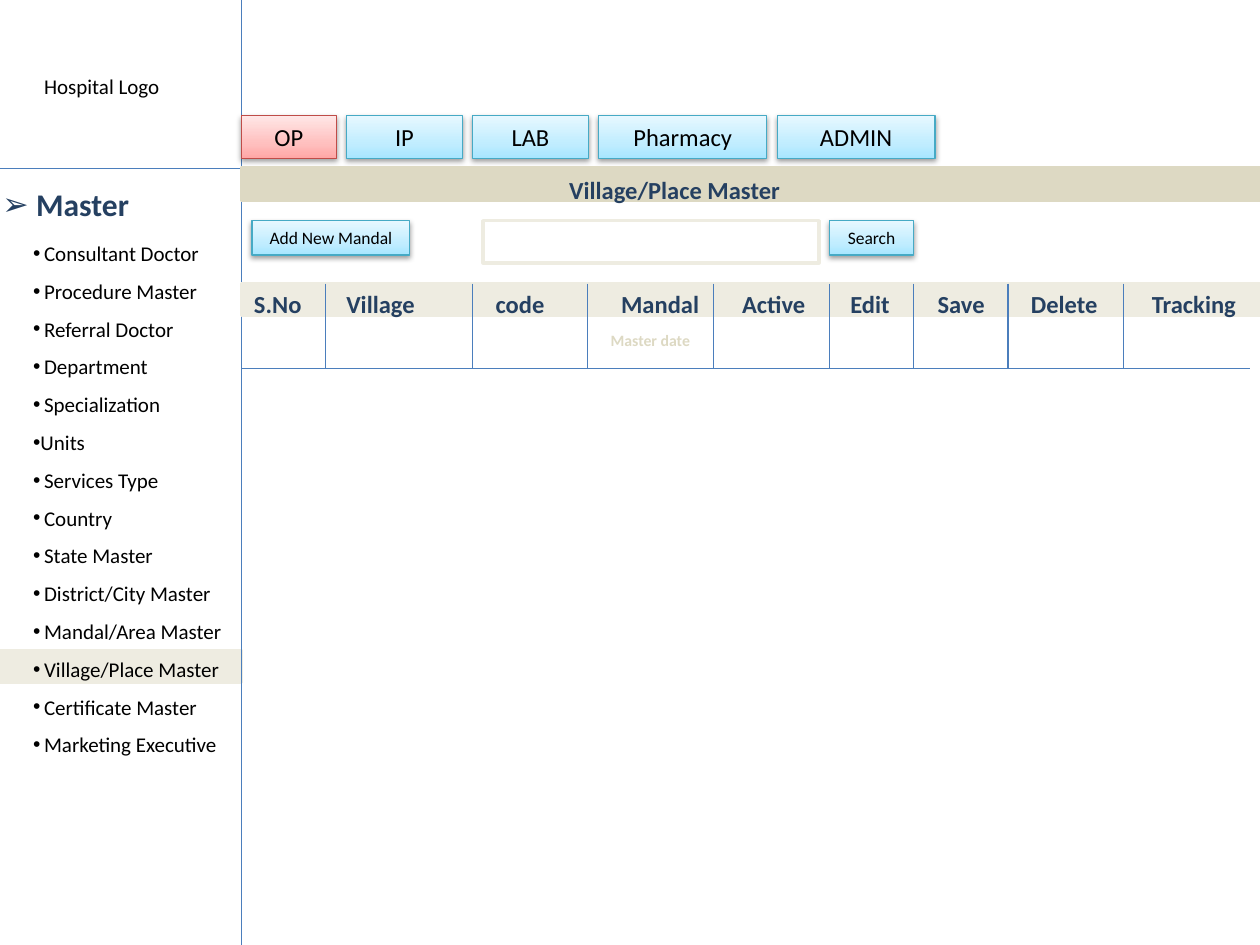
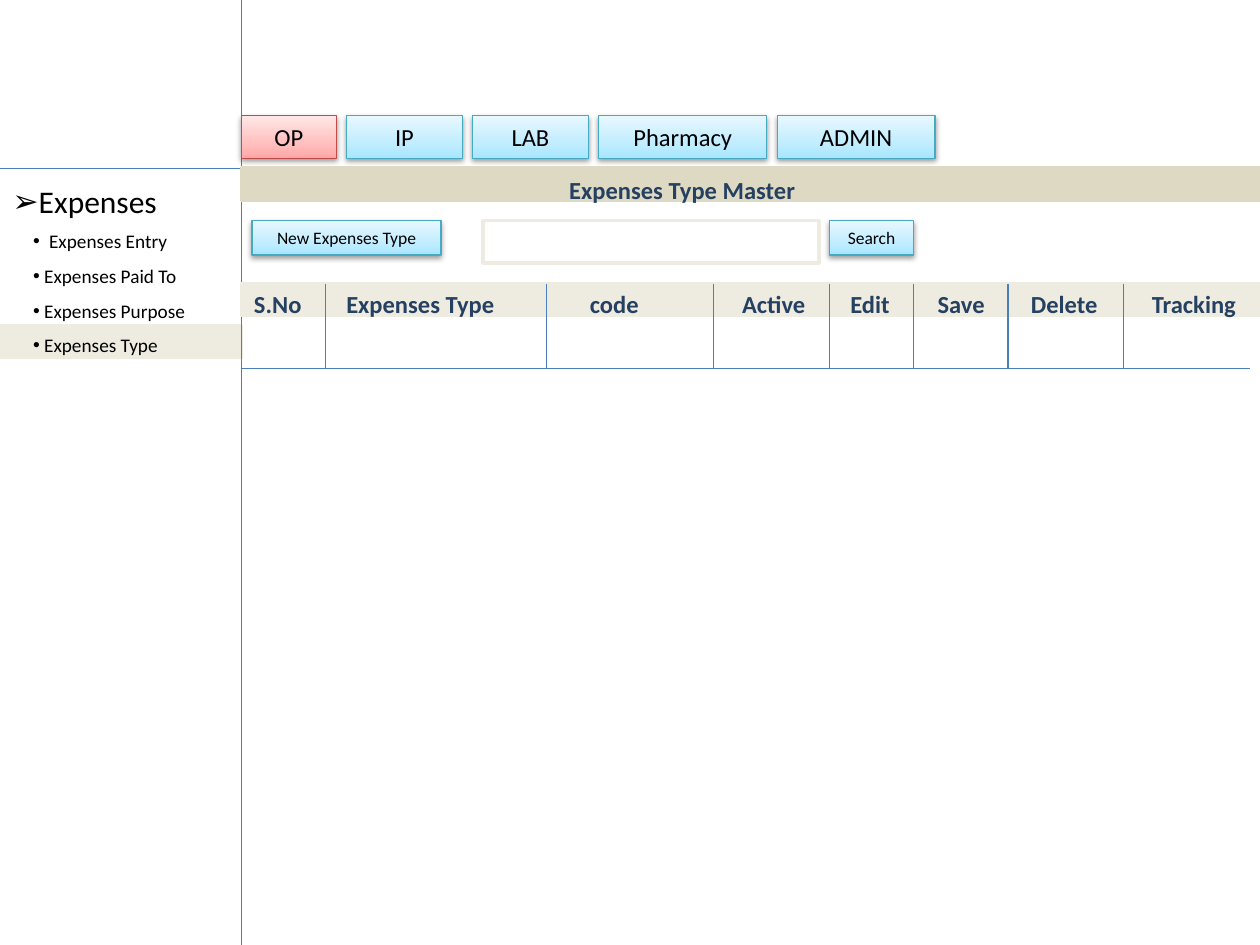
from lxml.etree import SubElement
from pptx import Presentation
from pptx.dml.color import RGBColor
from pptx.enum.shapes import MSO_CONNECTOR, MSO_SHAPE
from pptx.enum.text import MSO_ANCHOR, MSO_AUTO_SIZE, PP_ALIGN
from pptx.oxml.ns import qn
from pptx.util import Cm, Pt

# Shared look
FONT = "Calibri"
BLACK, NAVY, WHITE = "000000", "254061", "FFFFFF"
RULE_BLUE, TAN, PALE_TAN = "4B7EBC", "DDD9C3", "EEECE1"
RED_BUTTON = ("FFA6A5", "FFC0BF", "FFE7E7"), "BF4C48"
BLUE_BUTTON = ("A7E6FF", "C1EDFF", "E7F8FF"), "46AAC5"
NO_TABLE_STYLE = "{2D5ABB26-0587-4C30-8999-92F81FD0307C}"

# Shared page grid, in cm
PAGE_W, PAGE_H = 25.4, 19.05
SIDEBAR_W, HEADER_H, BAND_H = 4.87, 3.39, 0.64
TAB_TOP, TAB_H, TAB_GAP = 2.33, 0.86, 0.21
TOOLBAR_TOP, TABLE_TOP = 4.45, 5.72

TABS = [("OP", 1.91), ("IP", 2.33), ("LAB", 2.33), ("Pharmacy", 3.39), ("ADMIN", 3.18)]
# Columns: heading, width, text indent
SERIAL = ("S.No", 1.69, 0.25)
ACTIONS = [("Active", 2.33, 0.57), ("Edit", 1.7, 0.42), ("Save", 1.9, 0.48),
           ("Delete", 2.33, 0.46), ("Tracking", 2.54, 0.57)]
# Distance from bullet to text, where it differs from the usual one
ITEM_HANG = 0.22
SPECIAL_HANGS = {"Units": 0.14, "Expenses Entry": 0.32}


def rgb(hex_code):
    return RGBColor.from_string(hex_code)


def style(paragraph, size, color=BLACK, bold=False):
    font = paragraph.font
    font.name, font.size, font.bold = FONT, Pt(size), bold
    font.color.rgb = rgb(color)


def add_bullet(paragraph, symbol, hang):
    props = paragraph._p.get_or_add_pPr()
    props.set("marL", str(Cm(hang)))
    props.set("indent", str(-Cm(hang)))
    SubElement(props, qn("a:buFont"), typeface="Arial")
    SubElement(props, qn("a:buChar"), char=symbol)


def add_label(slide, left, top, width, height):
    label = slide.shapes.add_textbox(Cm(left), Cm(top), Cm(width), Cm(height))
    label.text_frame.word_wrap = False
    return label.text_frame


def add_box(slide, left, top, width, height, fill, line):
    box = slide.shapes.add_shape(MSO_SHAPE.RECTANGLE, Cm(left), Cm(top), Cm(width), Cm(height))
    box.shadow.inherit = False
    box.fill.solid()
    box.fill.fore_color.rgb = rgb(fill)
    box.line.color.rgb = rgb(line)
    box.line.width = Pt(2)


def add_rule(slide, x1, y1, x2, y2):
    rule = slide.shapes.add_connector(MSO_CONNECTOR.STRAIGHT, Cm(x1), Cm(y1), Cm(x2), Cm(y2))
    rule.line.color.rgb = rgb(RULE_BLUE)
    rule.line.width = Pt(0.75)
    SubElement(rule._element.spPr, qn("a:effectLst"))


def add_color(parent, hex_code):
    return SubElement(parent, qn("a:srgbClr"), val=hex_code)


def add_button(slide, text, left, top, width, height, size, scheme=BLUE_BUTTON):
    button = slide.shapes.add_shape(MSO_SHAPE.RECTANGLE, Cm(left), Cm(top), Cm(width), Cm(height))
    shades, edge = scheme
    # Gradient rising from the bottom edge
    gradient = SubElement(button._element.spPr, qn("a:gradFill"), rotWithShape="1")
    stops = SubElement(gradient, qn("a:gsLst"))
    for position, shade in zip((0, 35000, 100000), shades):
        add_color(SubElement(stops, qn("a:gs"), pos=str(position)), shade)
    SubElement(gradient, qn("a:lin"), ang="16200000", scaled="1")
    button.line.color.rgb = rgb(edge)
    button.line.width = Pt(0.75)
    # Soft shadow below
    button.shadow.inherit = False
    effects = button._element.spPr.find(qn("a:effectLst"))
    shadow = SubElement(effects, qn("a:outerShdw"), blurRad=str(Pt(3.1)), dist=str(Pt(1.6)),
                        dir="5400000", rotWithShape="0")
    SubElement(add_color(shadow, BLACK), qn("a:alpha"), val="38000")
    caption = button.text_frame.paragraphs[0]
    caption.text = text
    caption.alignment = PP_ALIGN.CENTER
    style(caption, size)


def build_sidebar(slide, menu):
    heading = add_label(slide, 0, menu["heading_top"], 3.5, 1.02)
    heading.margin_left = Cm(menu["heading_inset"])
    title = heading.paragraphs[0]
    title.text = menu["heading"]
    add_bullet(title, "➢", menu["heading_hang"])
    style(title, 18, menu["heading_color"], menu["heading_bold"])

    size, items = menu["size"], menu["items"]
    entries = add_label(slide, 0.42, menu["top"], 4.4, len(items) * size * 0.064 + 0.25)
    for index, item in enumerate(items):
        entry = entries.add_paragraph() if index else entries.paragraphs[0]
        entry.text = item
        entry.line_spacing = 1.5
        add_bullet(entry, "•", SPECIAL_HANGS.get(item, ITEM_HANG))
        style(entry, size)


def build_tabs(slide, left, top):
    for name, width in TABS:
        scheme = RED_BUTTON if name == "OP" else BLUE_BUTTON
        add_button(slide, name, left, top, width, TAB_H, 14, scheme)
        left += width + TAB_GAP


def build_title(slide, text, left, top):
    add_box(slide, left, top, PAGE_W - left, BAND_H, TAN, TAN)
    title = slide.shapes.title
    title.left, title.top, title.width, title.height = Cm(left + 6.35), Cm(top), Cm(5.2), Cm(0.86)
    frame = title.text_frame
    frame.text = text
    frame.word_wrap = False
    frame.auto_size = MSO_AUTO_SIZE.NONE
    frame.vertical_anchor = MSO_ANCHOR.MIDDLE
    frame.paragraphs[0].alignment = PP_ALIGN.LEFT
    style(frame.paragraphs[0], 14, NAVY, True)
    # Bring the title in front of its band
    title.element.getparent().append(title.element)


def build_toolbar(slide, left, top, add_text, add_width):
    add_button(slide, add_text, left + 0.21, top, add_width, 0.69, 10)
    add_box(slide, left + 4.87, top, 6.77, 0.85, WHITE, PALE_TAN)
    add_button(slide, "Search", left + 11.85, top, 1.7, 0.69, 10)


def add_border(cell, side, index):
    border = cell._tc.get_or_add_tcPr().makeelement(qn(f"a:{side}"), {"w": str(Pt(0.75))})
    add_color(SubElement(border, qn("a:solidFill")), RULE_BLUE)
    cell._tc.tcPr.insert(index, border)


def build_table(slide, columns, left, top, notes):
    add_box(slide, left, top, PAGE_W - left, BAND_H, PALE_TAN, PALE_TAN)
    width = sum(column[1] for column in columns)
    table = slide.shapes.add_table(2, len(columns), Cm(left), Cm(top), Cm(width), Cm(1.7)).table
    table.first_row = table.horz_banding = False
    table._tbl.tblPr.find(qn("a:tableStyleId")).text = NO_TABLE_STYLE
    for index, (heading, column_width, indent) in enumerate(columns):
        table.columns[index].width = Cm(column_width)
        head, body = table.cell(0, index), table.cell(1, index)
        head.text, body.text = heading, notes.get(heading, "")
        style(head.text_frame.paragraphs[0], 14, NAVY, True)
        style(body.text_frame.paragraphs[0], 9, TAN, True)
        head.vertical_anchor = MSO_ANCHOR.MIDDLE
        head.margin_left, body.margin_left = Cm(indent), Cm(0.46)
        for cell in (head, body):
            cell.margin_right = cell.margin_top = cell.margin_bottom = 0
            cell.fill.background()
            has_divider = index < len(columns) - 1
            if has_divider:
                add_border(cell, "lnR", 0)
        body.margin_top = Cm(0.12)
        add_border(body, "lnB", int(has_divider))


def build_page(prs, page):
    slide = prs.slides.add_slide(prs.slide_layouts[5])
    # Frame: highlighted menu row and the two dividing rules
    add_box(slide, 0, page["menu"]["highlight_top"], SIDEBAR_W, BAND_H, PALE_TAN, PALE_TAN)
    add_rule(slide, 0, HEADER_H, PAGE_W, HEADER_H)
    add_rule(slide, SIDEBAR_W, 0, SIDEBAR_W, PAGE_H)
    if "logo" in page:
        logo = add_label(slide, 0.64, 1.35, 2.87, 0.77).paragraphs[0]
        logo.text = page["logo"]
        style(logo, 12)
    build_sidebar(slide, page["menu"])
    build_tabs(slide, SIDEBAR_W, TAB_TOP)
    build_title(slide, page["title"], SIDEBAR_W, HEADER_H)
    build_toolbar(slide, SIDEBAR_W, TOOLBAR_TOP, *page["add_button"])
    columns = [SERIAL, *page["columns"], *ACTIONS]
    build_table(slide, columns, SIDEBAR_W, TABLE_TOP, page.get("notes", {}))


VILLAGE_PAGE = {
    "title": "Village/Place Master",
    "logo": "Hospital Logo",
    "add_button": ("Add New Mandal", 3.18),
    "columns": [("Village", 2.97, 0.42), ("code", 2.32, 0.46), ("Mandal", 2.54, 0.67)],
    "notes": {"Mandal": "Master date"},
    "menu": {
        "heading": "Master", "heading_top": 3.61, "heading_inset": 0.05, "heading_hang": 0.68,
        "heading_color": NAVY, "heading_bold": True,
        "top": 4.47, "size": 12, "highlight_top": 13.12,
        "items": ["Consultant Doctor", "Procedure Master", "Referral Doctor", "Department",
                  "Specialization", "Units", "Services Type", "Country", "State Master",
                  "District/City Master", "Mandal/Area Master", "Village/Place Master",
                  "Certificate Master", "Marketing Executive"],
    },
}

EXPENSES_PAGE = {
    "title": "Expenses Type Master",
    "add_button": ("New Expenses Type", 3.81),
    "columns": [("Expenses Type", 4.45, 0.42), ("code", 3.38, 0.88)],
    "menu": {
        "heading": "Expenses", "heading_top": 3.55, "heading_inset": 0.25, "heading_hang": 0.53,
        "heading_color": BLACK, "heading_bold": False,
        "top": 4.27, "size": 11, "highlight_top": 6.56,
        "items": ["Expenses Entry", "Expenses Paid To", "Expenses Purpose", "Expenses Type"],
    },
}


def main():
    prs = Presentation()
    prs.slide_width, prs.slide_height = Cm(PAGE_W), Cm(PAGE_H)
    for page in (VILLAGE_PAGE, EXPENSES_PAGE):
        build_page(prs, page)
    prs.save("out.pptx")


if __name__ == "__main__":
    main()
